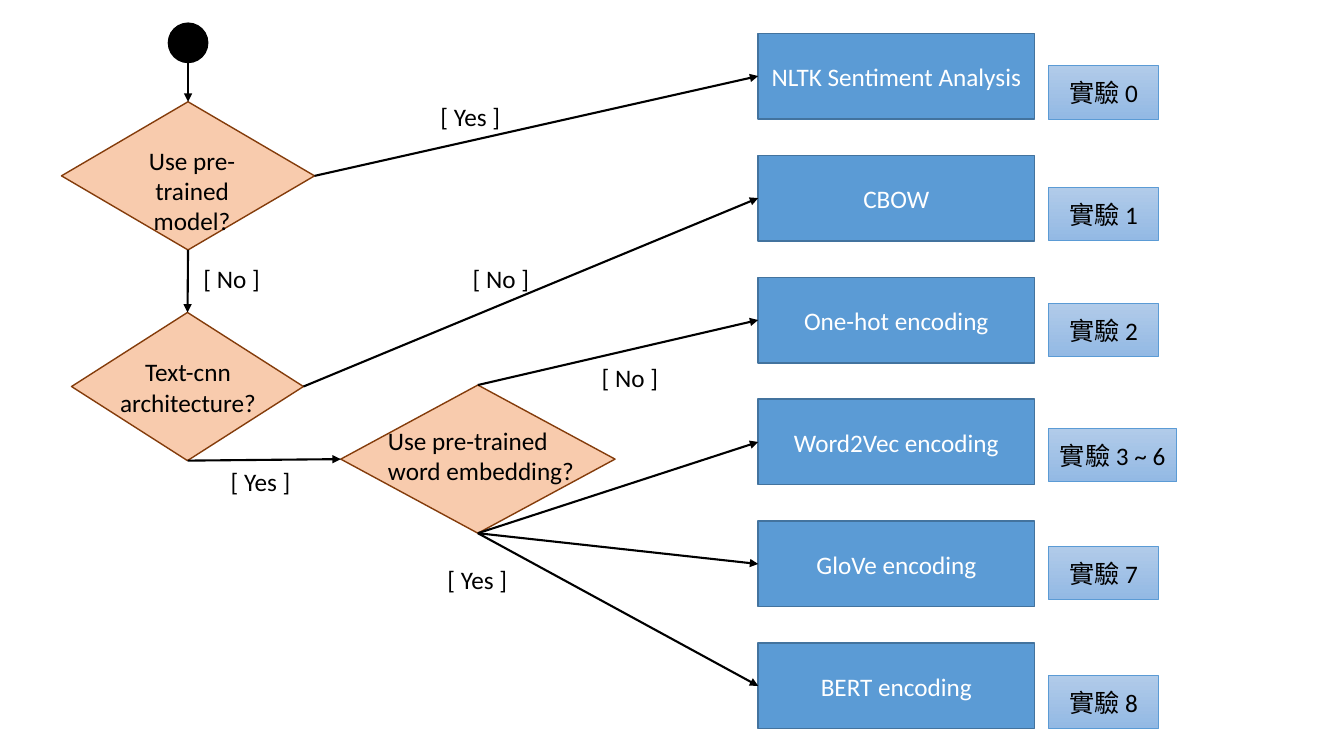
from dataclasses import dataclass
from lxml import etree
from pptx import Presentation
from pptx.dml.color import RGBColor
from pptx.enum.shapes import MSO_CONNECTOR, MSO_SHAPE
from pptx.enum.text import MSO_ANCHOR, PP_ALIGN
from pptx.oxml.ns import qn
from pptx.util import Inches, Pt

RECTANGLE, DIAMOND, OVAL = MSO_SHAPE.RECTANGLE, MSO_SHAPE.DIAMOND, MSO_SHAPE.OVAL
STRAIGHT = MSO_CONNECTOR.STRAIGHT
LEFT, CENTER = PP_ALIGN.LEFT, PP_ALIGN.CENTER
TOP_ANCHOR, MIDDLE = MSO_ANCHOR.TOP, MSO_ANCHOR.MIDDLE
TOP, LEFT_SIDE, BOTTOM, RIGHT_SIDE = range(4)


@dataclass(frozen=True)
class Theme:
    font: str = "Calibri"
    size: float = 18
    black: str = "000000"
    white: str = "FFFFFF"
    method: str = "5B9BD5"
    method_edge: str = "43739E"
    question: str = "F8CBAD"
    question_edge: str = "843C0B"
    badge: tuple = ("B1CBE9", "93B9E4")
    edge: float = 1
    thin: float = 0.5
    arrow: float = 1.5


theme = Theme()

METHODS = [
    ("NLTK Sentiment Analysis", "實驗 0", 0.65, 1.09),
    ("CBOW", "實驗 1", 1.86, 1.09),
    ("One-hot encoding", "實驗 2", 3.01, 1.09),
    ("Word2Vec encoding", "實驗 3 ~ 6", 4.25, 1.27),
    ("GloVe encoding", "實驗 7", 5.42, 1.09),
    ("BERT encoding", "實驗 8", 6.7, 1.09),
]
QUESTIONS = {
    "pretrained": ("Use pre-trained model?", (0.61, 1.01, 2.51), (1.05, 1.39, 1.71), CENTER),
    "textcnn": ("Text-cnn architecture?", (0.71, 3.1, 2.3), (1.08, 3.49, 1.57), CENTER),
    "embedding": ("Use pre-trained word embedding?", (3.38, 3.82, 2.72), (3.75, 4.17, 2.34), LEFT),
}
FLOWS = [
    ("start", BOTTOM, "pretrained", TOP),
    ("textcnn", BOTTOM, "embedding", LEFT_SIDE),
    ("pretrained", BOTTOM, "textcnn", TOP),
    ("pretrained", RIGHT_SIDE, "NLTK Sentiment Analysis", LEFT_SIDE),
    ("textcnn", RIGHT_SIDE, "CBOW", LEFT_SIDE),
    ("embedding", TOP, "One-hot encoding", LEFT_SIDE),
    ("embedding", BOTTOM, "Word2Vec encoding", LEFT_SIDE),
    ("embedding", BOTTOM, "GloVe encoding", LEFT_SIDE),
    ("embedding", BOTTOM, "BERT encoding", LEFT_SIDE),
]
ANSWERS = [
    ("[ Yes ]", 4.27, 0.96),
    ("[ No ]", 1.92, 2.56),
    ("[ No ]", 4.59, 2.56),
    ("[ Yes ]", 2.19, 4.58),
    ("[ No ]", 5.87, 3.55),
    ("[ Yes ]", 4.34, 5.55),
]

START = (1.67, 0.23, 0.39, 0.39)
METHOD_LEFT, METHOD_TOP, METHOD_PITCH = 7.52, 0.33, 1.21
METHOD_WIDTH, METHOD_HEIGHT = 2.74, 0.85
BADGE_LEFT, BADGE_HEIGHT = 10.4, 0.53
QUESTION_HEIGHT, QUESTION_TEXT_HEIGHT = 1.47, 0.71
ANSWER_WIDTH, ANSWER_HEIGHT = 0.8, 0.4

presentation = Presentation()
presentation.slide_width, presentation.slide_height = Inches(13.33), Inches(7.5)
slide = presentation.slides.add_slide(presentation.slide_layouts[6])


def color(code):
    return RGBColor.from_string(code)


def write(holder, words, ink=theme.black, align=CENTER, anchor=MIDDLE, wrap=True):
    frame = holder.text_frame
    frame.word_wrap = wrap
    frame.vertical_anchor = anchor
    paragraph = frame.paragraphs[0]
    paragraph.alignment = align
    run = paragraph.add_run()
    run.text = words
    run.font.name, run.font.size = theme.font, Pt(theme.size)
    run.font.color.rgb = color(ink)


def add_block(kind, place, fill, edge, width=theme.edge):
    block = slide.shapes.add_shape(kind, *map(Inches, place))
    block.shadow.inherit = False
    if isinstance(fill, tuple):
        block.fill.gradient()
        block.fill.gradient_angle = 270
        for stop, shade in zip(block.fill.gradient_stops, fill):
            stop.color.rgb = color(shade)
    else:
        block.fill.solid()
        block.fill.fore_color.rgb = color(fill)
    block.line.color.rgb = color(edge)
    block.line.width = Pt(width)
    return block


def add_label(place, words, align, wrap):
    label = slide.shapes.add_textbox(*map(Inches, place))
    write(label, words, align=align, anchor=TOP_ANCHOR, wrap=wrap)


def add_arrow(source, source_site, target, target_site):
    bottom_x, bottom_y = source.left + source.width // 2, source.top + source.height
    arrow = slide.shapes.add_connector(STRAIGHT, bottom_x, bottom_y, bottom_x, bottom_y)
    if source.auto_shape_type != OVAL:
        arrow.begin_connect(source, source_site)
    arrow.end_connect(target, target_site)
    arrow.line.color.rgb = color(theme.black)
    arrow.line.width = Pt(theme.arrow)
    outline = arrow._element.spPr.find(qn("a:ln"))
    etree.SubElement(outline, qn("a:tailEnd"), type="triangle")
    etree.SubElement(arrow._element.spPr, qn("a:effectLst"))


nodes = {"start": add_block(OVAL, START, theme.black, theme.black)}
for key, (question, (left, top, width), text_place, align) in QUESTIONS.items():
    nodes[key] = add_block(DIAMOND, (left, top, width, QUESTION_HEIGHT),
                           theme.question, theme.question_edge)
    add_label((*text_place, QUESTION_TEXT_HEIGHT), question, align, True)

for row, (method, experiment, badge_top, badge_width) in enumerate(METHODS):
    method_place = (METHOD_LEFT, METHOD_TOP + row * METHOD_PITCH, METHOD_WIDTH, METHOD_HEIGHT)
    nodes[method] = add_block(RECTANGLE, method_place, theme.method, theme.method_edge)
    write(nodes[method], method, theme.white)
    badge = add_block(RECTANGLE, (BADGE_LEFT, badge_top, badge_width, BADGE_HEIGHT),
                      theme.badge, theme.method, theme.thin)
    write(badge, experiment)

for source, source_site, target, target_site in FLOWS:
    add_arrow(nodes[source], source_site, nodes[target], target_site)

for answer, left, top in ANSWERS:
    add_label((left, top, ANSWER_WIDTH, ANSWER_HEIGHT), answer, LEFT, False)

presentation.save("out.pptx")
